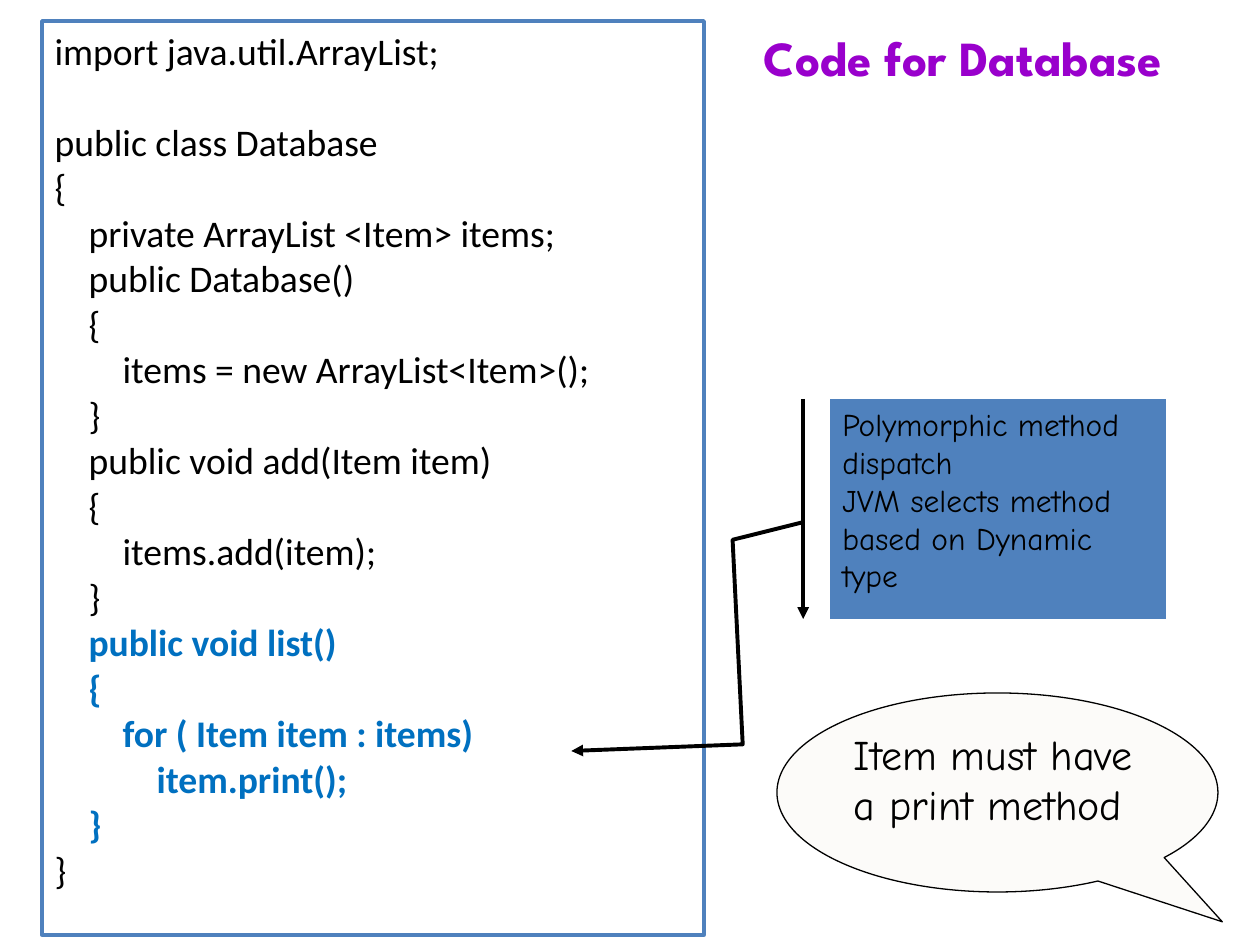
import pptx
import pptx.util
import pptx.dml.color
import pptx.enum.shapes
import pptx.enum.text
import pptx.oxml
import pptx.oxml.ns

EMU_PER_PX = 914400 / 126
CODE_INDENT = 34
CODE_PITCH = 26
BLACK = "000000"
BLUE = "4F81BD"
HIGHLIGHT = "0070C0"

CODE_LINES = [
    (0, "import java.util.ArrayList;", False),
    (0, "public class Database", False),
    (0, "{", False),
    (1, "private ArrayList <Item> items;", False),
    (1, "public Database()", False),
    (1, "{", False),
    (2, "items = new ArrayList<Item>();", False),
    (1, "}", False),
    (1, "public void add(Item item)", False),
    (1, "{", False),
    (2, "items.add(item);", False),
    (1, "}", False),
    (1, "public void list()", True),
    (1, "{", True),
    (2, "for ( Item item : items)", True),
    (3, "item.print();", True),
    (1, "}", True),
    (0, "}", False),
]


def px(length):
    return pptx.util.Emu(round(length * EMU_PER_PX))


def color(value):
    return pptx.dml.color.RGBColor.from_string(value)


def move(box, left, top, width, height):
    box.left, box.top, box.width, box.height = map(px, (left, top, width, height))


def outline(box, value, points):
    box.line.color.rgb = color(value)
    box.line.width = pptx.util.Pt(points)


def style(paragraph, font, size, value, bold=False):
    paragraph.alignment = pptx.enum.text.PP_ALIGN.LEFT
    for span in paragraph.runs:
        span.font.name = font
        span.font.size = pptx.util.Pt(size)
        span.font.color.rgb = color(value)
        span.font.bold = bold


def prepare_frame(box):
    frame = box.text_frame
    frame.word_wrap = True
    frame.auto_size = pptx.enum.text.MSO_AUTO_SIZE.NONE
    frame.vertical_anchor = pptx.enum.text.MSO_ANCHOR.TOP
    return frame


def fill_title(box, text):
    move(box, 751, 21, 494, 72)
    frame = prepare_frame(box)
    frame.text = text
    style(frame.paragraphs[0], "League Spartan", 28, "9900CC", True)


def fill_code(box, lines):
    move(box, 42, 21, 662, 914)
    outline(box, BLUE, 2)
    frame = prepare_frame(box)
    frame.text = "\n".join(text for _, text, _ in lines)
    for paragraph, (depth, _, highlighted) in zip(frame.paragraphs, lines):
        style(paragraph, "Calibri", 21.5, HIGHLIGHT if highlighted else BLACK, highlighted)
        paragraph.line_spacing = pptx.util.Pt(CODE_PITCH)
        paragraph.space_before = pptx.util.Pt(0)
        properties = paragraph._p.get_or_add_pPr()
        properties.set("marL", str(px(depth * CODE_INDENT)))
        properties.set("indent", "0")
        properties.append(properties.makeelement(pptx.oxml.ns.qn("a:buNone"), {}))
    frame.paragraphs[0].space_after = pptx.util.Pt(CODE_PITCH)


def add_callout(page, kind, place, adjustments, text, size, fill, line_width):
    box = page.shapes.add_shape(kind, *map(px, place))
    box.shadow.inherit = False
    for index, value in enumerate(adjustments):
        box.adjustments[index] = value
    box.fill.solid()
    box.fill.fore_color.rgb = color(fill)
    outline(box, BLACK, line_width)
    frame = prepare_frame(box)
    frame.text = text
    for paragraph in frame.paragraphs:
        style(paragraph, "Comic Neue", size, BLACK)
    return box


def add_arrowhead(box):
    line = box.line._get_or_add_ln()
    line.append(line.makeelement(pptx.oxml.ns.qn("a:tailEnd"), {"type": "triangle"}))


def main():
    deck = pptx.Presentation()
    deck.slide_width = px(1260)
    deck.slide_height = px(945)
    page = deck.slides.add_slide(deck.slide_layouts[1])
    fill_title(page.shapes.title, "Code for Database")
    fill_code(page.placeholders[1], CODE_LINES)

    kinds = pptx.enum.shapes.MSO_SHAPE
    dispatch = add_callout(
        page, kinds.LINE_CALLOUT_3_ACCENT_BAR, (830, 399, 336, 220),
        (0.56, -0.08, 0.64, -0.29, 1.57, -0.26, 1.6, -0.77),
        "Polymorphic method dispatch\nJVM selects method based on Dynamic type",
        18, BLUE, 2.25)
    add_arrowhead(dispatch)
    add_callout(
        page, kinds.OVAL_CALLOUT, (777, 693, 441, 199), (0.51, 0.65),
        "Item must have a print method", 24, "FCFBF9", 0.75)
    deck.save("out.pptx")


if __name__ == "__main__":
    main()
